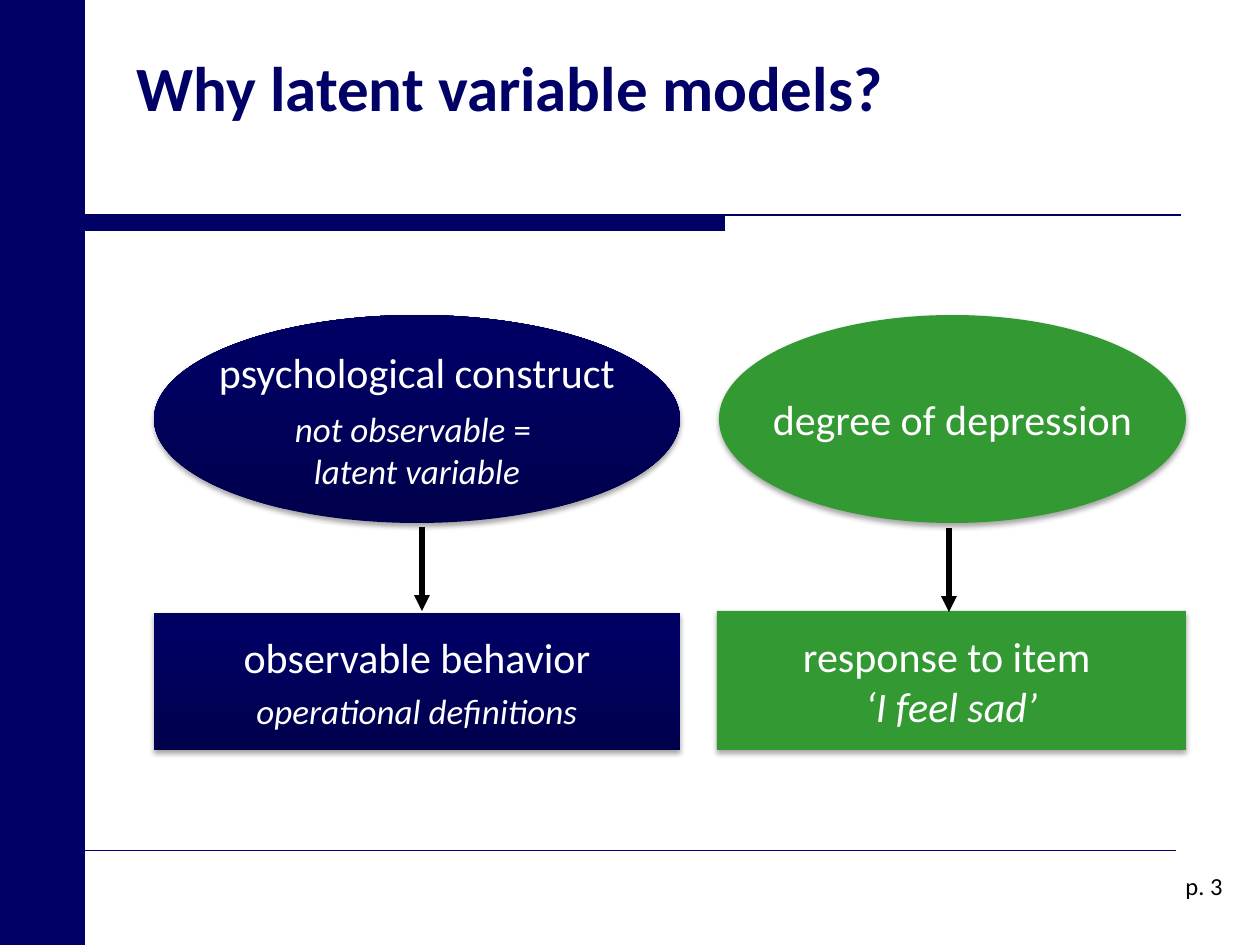
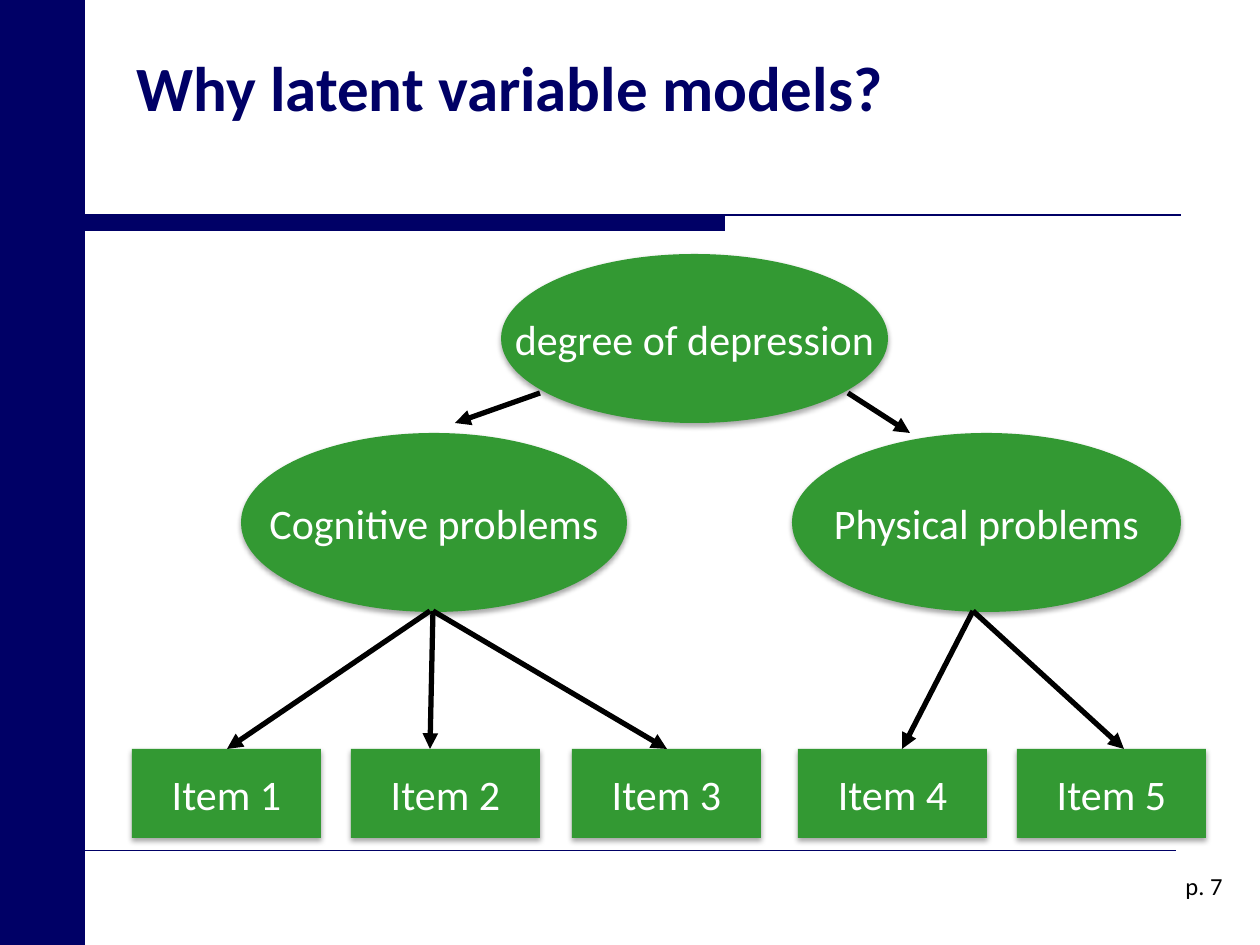
"""Build two slides on latent variable models."""
from lxml.etree import SubElement
from pptx import Presentation
from pptx.dml.color import RGBColor
from pptx.enum.shapes import MSO_CONNECTOR, MSO_SHAPE
from pptx.enum.text import MSO_ANCHOR, PP_ALIGN
from pptx.oxml import parse_xml
from pptx.oxml.ns import nsdecls, qn
from pptx.util import Pt

NAVY = RGBColor(0x00, 0x00, 0x66)
NAVY_LIGHT = RGBColor(0x00, 0x00, 0x63)
NAVY_DARK = RGBColor(0x00, 0x00, 0x4C)
GREEN = RGBColor(0x33, 0x99, 0x33)
WHITE = RGBColor(0xFF, 0xFF, 0xFF)
BLACK = RGBColor(0x00, 0x00, 0x00)
FONT = "Calibri"
ELLIPSE, RECTANGLE = MSO_SHAPE.OVAL, MSO_SHAPE.RECTANGLE
EMU_PER_PX = 914400 / 126
SLIDE_SIZE = (1260, 945)
SIDEBAR_WIDTH = 85
FOOTER_TOP = 850

TITLE = "Why latent variable models?"
ITEM_LEFTS = (132, 351, 572, 798, 1017)
ITEM_TOP, ITEM_WIDTH, ITEM_GAP = 749, 189, 12
ITEM_HEIGHT = FOOTER_TOP - ITEM_GAP - ITEM_TOP


def line_of(*runs, size=24, before=0):
    return runs, size, before


def plain(text):
    return [line_of((text, False))]


CONCEPT_NODES = [
    (ELLIPSE, NAVY, (154, 315, 526, 208), [
        line_of(("psychological construct", False)),
        line_of(("not observable ", True), ("= ", False), size=20, before=6),
        line_of(("latent variable", True), size=20)]),
    (RECTANGLE, NAVY, (154, 613, 526, 137), [
        line_of(("observable behavior", False)),
        line_of(("operational definitions", True), size=20, before=4)]),
    (ELLIPSE, GREEN, (719, 315, 467, 208), plain("degree of depression")),
    (RECTANGLE, GREEN, (717, 611, 469, 139), [
        line_of(("response to item ", False)),
        line_of(("‘I feel sad’", True))]),
]
CONCEPT_ARROWS = [(422, 527, 422, 611), (949, 528, 949, 612)]

HIERARCHY_NODES = [
    (ELLIPSE, GREEN, (241, 433, 386, 179), plain("Cognitive problems")),
    (ELLIPSE, GREEN, (792, 433, 389, 179), plain("Physical problems")),
    (ELLIPSE, GREEN, (501, 254, 387, 169), plain("degree of depression")),
] + [
    (RECTANGLE, GREEN, (left, ITEM_TOP, ITEM_WIDTH, ITEM_HEIGHT), plain(f"Item {number}"))
    for number, left in enumerate(ITEM_LEFTS, 1)
]
HIERARCHY_ARROWS = [
    (848, 393, 910, 433), (540, 393, 455, 423),
    (430, 611, 227, ITEM_TOP), (433, 611, 430, ITEM_TOP), (433, 611, 667, ITEM_TOP),
    (973, 611, 902, ITEM_TOP), (973, 611, 1124, ITEM_TOP),
]

SLIDES = [(3, CONCEPT_NODES, CONCEPT_ARROWS), (7, HIERARCHY_NODES, HIERARCHY_ARROWS)]


def emu(*lengths):
    return [round(length * EMU_PER_PX) for length in lengths]


def add_block(slide, kind, box, color):
    shape = slide.shapes.add_shape(kind, *emu(*box))
    shape.shadow.inherit = False
    shape.fill.solid()
    shape.fill.fore_color.rgb = color
    shape.line.fill.background()
    return shape


def add_line(slide, ends, color, width, arrow=False):
    connector = slide.shapes.add_connector(MSO_CONNECTOR.STRAIGHT, *emu(*ends))
    connector.line.color.rgb = color
    connector.line.width = Pt(width)
    if arrow:
        SubElement(connector.line._get_or_add_ln(), qn("a:tailEnd"), type="triangle")
    SubElement(connector._element.spPr, qn("a:effectLst"))


def add_text(slide, box, text, size, color, bold=False, align=PP_ALIGN.LEFT, anchor=MSO_ANCHOR.TOP):
    frame = slide.shapes.add_textbox(*emu(*box)).text_frame
    frame.word_wrap = True
    frame.vertical_anchor = anchor
    paragraph = frame.paragraphs[0]
    paragraph.text = text
    paragraph.alignment = align
    style_font(paragraph.font, size, color, bold)


def style_font(font, size, color, bold=False):
    font.name = FONT
    font.size = Pt(size)
    font.color.rgb = color
    font.bold = bold


def add_soft_shadow(shape):
    effects = shape._element.spPr.find(qn("a:effectLst"))
    effects.append(parse_xml(
        f'<a:outerShdw {nsdecls("a")} blurRad="{Pt(3.1)}" dist="{Pt(1.8)}" dir="5400000"'
        ' rotWithShape="0"><a:srgbClr val="000000"><a:alpha val="35000"/></a:srgbClr>'
        '</a:outerShdw>'))


def shade_navy(shape):
    shape.fill.gradient()
    shape.fill.gradient_angle = 90
    stops = zip(shape.fill.gradient_stops, (0, 0.8), (NAVY_DARK, NAVY_LIGHT))
    for stop, position, color in stops:
        stop.position = position
        stop.color.rgb = color


def add_node(slide, kind, color, box, lines):
    shape = add_block(slide, kind, box, color)
    if color == NAVY:
        shade_navy(shape)
    add_soft_shadow(shape)
    frame = shape.text_frame
    frame.word_wrap = False
    frame.vertical_anchor = MSO_ANCHOR.MIDDLE
    for index, (runs, size, before) in enumerate(lines):
        paragraph = frame.add_paragraph() if index else frame.paragraphs[0]
        paragraph.alignment = PP_ALIGN.CENTER
        paragraph.space_before = Pt(before)
        style_font(paragraph.font, size, WHITE)
        for text, italic in runs:
            run = paragraph.add_run()
            run.text = text
            run.font.italic = italic


def add_page_frame(slide, page):
    add_block(slide, RECTANGLE, (SIDEBAR_WIDTH, 215, 640, 16), NAVY)
    add_line(slide, (SIDEBAR_WIDTH, 215, 1181, 215), NAVY, 0.75)
    add_line(slide, (SIDEBAR_WIDTH, FOOTER_TOP, 1176, FOOTER_TOP), NAVY, 0.25)
    add_block(slide, RECTANGLE, (0, 0, SIDEBAR_WIDTH, SLIDE_SIZE[1]), NAVY)
    add_text(slide, (973, 849, 262, 73), f"p. {page}", 14, BLACK,
             align=PP_ALIGN.RIGHT, anchor=MSO_ANCHOR.MIDDLE)
    add_text(slide, (124, 42, 1012, 168), TITLE, 36, NAVY, bold=True)


def main():
    presentation = Presentation()
    presentation.slide_width, presentation.slide_height = emu(*SLIDE_SIZE)
    for page, nodes, arrows in SLIDES:
        slide = presentation.slides.add_slide(presentation.slide_layouts[6])
        add_page_frame(slide, page)
        for node in nodes:
            add_node(slide, *node)
        for ends in arrows:
            add_line(slide, ends, BLACK, 3, arrow=True)
    presentation.save("out.pptx")


if __name__ == "__main__":
    main()
